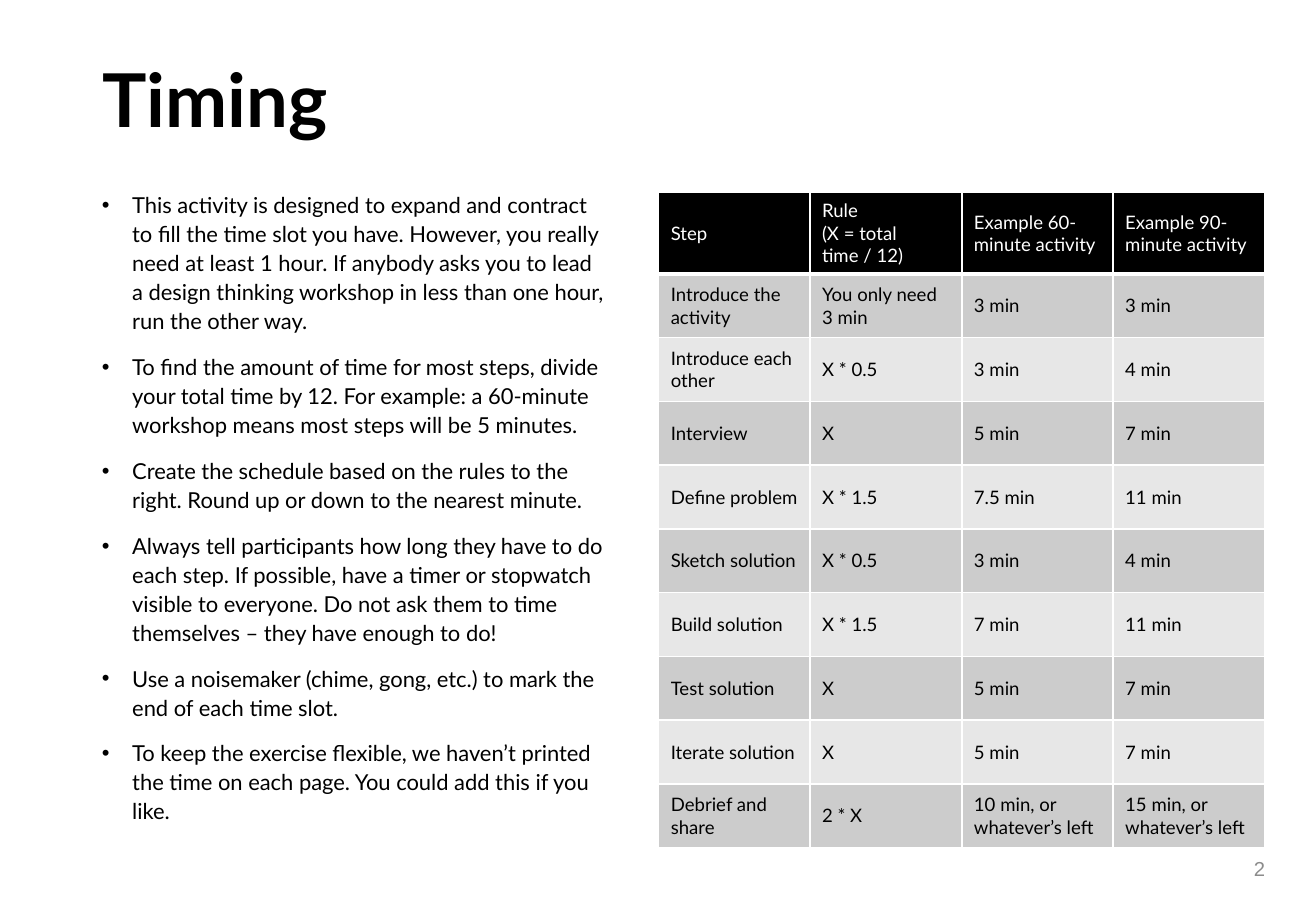
import pptx
import pptx.util
import pptx.dml.color
import pptx.enum.text
import pptx.oxml

PX = 4572
LEFT = pptx.enum.text.PP_ALIGN.LEFT
RIGHT = pptx.enum.text.PP_ALIGN.RIGHT
MIDDLE = pptx.enum.text.MSO_ANCHOR.MIDDLE
NAMESPACE = 'xmlns:a="http://schemas.openxmlformats.org/drawingml/2006/main"'


def color(value):
    return pptx.dml.color.RGBColor.from_string(value)


def format_paragraph(para, font, size, ink, bold=False, **layout):
    values = {"name": font, "size": pptx.util.Pt(size), "bold": bold}
    for name, value in values.items():
        setattr(para.font, name, value)
    para.font.color.rgb = color(ink)
    for name, value in layout.items():
        setattr(para, name, value)


deck = pptx.Presentation()
deck.slide_width, deck.slide_height = 2166 * PX, 1500 * PX
page = deck.slides.add_slide(deck.slide_layouts[5])

title = page.shapes.title
placement = {"left": 148, "top": 80, "width": 1868, "height": 182}
for name, value in placement.items():
    setattr(title, name, value * PX)
title.text_frame.text = "Timing"
title.text_frame.auto_size = pptx.enum.text.MSO_AUTO_SIZE.NONE
title.text_frame.vertical_anchor = MIDDLE
format_paragraph(title.text_frame.paragraphs[0], "Lato", 44, "000000", True,
                 alignment=LEFT, line_spacing=0.9)

advice = [
    "This activity is designed to expand and contract to fill the time slot you have. However, you really need at least 1 hour. If anybody asks you to lead a design thinking workshop in less than one hour, run the other way.",
    "To find the amount of time for most steps, divide your total time by 12. For example: a 60-minute workshop means most steps will be 5 minutes.",
    "Create the schedule based on the rules to the right. Round up or down to the nearest minute.",
    "Always tell participants how long they have to do each step. If possible, have a timer or stopwatch visible to everyone. Do not ask them to time themselves – they have enough to do!",
    "Use a noisemaker (chime, gong, etc.) to mark the end of each time slot.",
    "To keep the exercise flexible, we haven’t printed the time on each page. You could add this if you like.",
]
advice_box = page.shapes.add_textbox(148 * PX, 302 * PX, 872 * PX, 1140 * PX)
advice_box.text_frame.word_wrap = True
advice_box.text_frame.text = "\n".join(advice)
for index, para in enumerate(advice_box.text_frame.paragraphs):
    properties = para._p.get_or_add_pPr()
    properties.set("marL", str(50 * PX))
    properties.set("indent", str(-50 * PX))
    for bullet in ('buFont {} typeface="Arial"', 'buChar {} char="•"'):
        properties.append(pptx.oxml.parse_xml(f"<a:{bullet.format(NAMESPACE)}/>"))
    format_paragraph(para, "Lato", 13, "000000", line_spacing=1.1,
                     space_before=pptx.util.Pt(10 if index else 0))

schedule = [
    ("Step", "Rule\n(X = total time / 12)", "Example 60-minute activity", "Example 90-minute activity"),
    ("Introduce the activity", "You only need 3 min", "3 min", "3 min"),
    ("Introduce each other", "X * 0.5", "3 min", "4 min"),
    ("Interview", "X", "5 min", "7 min"),
    ("Define problem", "X * 1.5", "7.5 min", "11 min"),
    ("Sketch solution", "X * 0.5", "3 min", "4 min"),
    ("Build solution", "X * 1.5", "7 min", "11 min"),
    ("Test solution", "X", "5 min", "7 min"),
    ("Iterate solution", "X", "5 min", "7 min"),
    ("Debrief and share", "2 * X", "10 min, or whatever’s left", "15 min, or whatever’s left"),
]
table = page.shapes.add_table(len(schedule), 4, 1084 * PX, 317 * PX, 998 * PX, 1079 * PX).table
for column, width in zip(table.columns, (249, 250, 249, 250)):
    column.width = width * PX
for row, steps in enumerate(schedule):
    table.rows[row].height = (105 if row else 134) * PX
    fill = ("E7E7E7", "CCCCCC")[row % 2] if row else "000000"
    borders = {"lnL": 1, "lnR": 1, "lnT": 3 if row == 1 else 1, "lnB": 1 if row else 3}
    for cell, text in zip(table.rows[row].cells, steps):
        cell.text = text
        cell.vertical_anchor = MIDDLE
        for side, points in borders.items():
            cell._tc.get_or_add_tcPr().append(pptx.oxml.parse_xml(
                f'<a:{side} {NAMESPACE} w="{points * 12700}"><a:solidFill>'
                f'<a:srgbClr val="FFFFFF"/></a:solidFill></a:{side}>'))
        cell.fill.solid()
        cell.fill.fore_color.rgb = color(fill)
        for para in cell.text_frame.paragraphs:
            format_paragraph(para, "Lato", 11, "000000" if row else "FFFFFF")

number_box = page.shapes.add_textbox(1614 * PX, 1390 * PX, 488 * PX, 80 * PX)
number_box.text_frame.word_wrap = True
number_box.text_frame.vertical_anchor = MIDDLE
number_box.text_frame.text = "2"
format_paragraph(number_box.text_frame.paragraphs[0], "Arial", 12, "8C8C8C", alignment=RIGHT)

deck.save("out.pptx")
